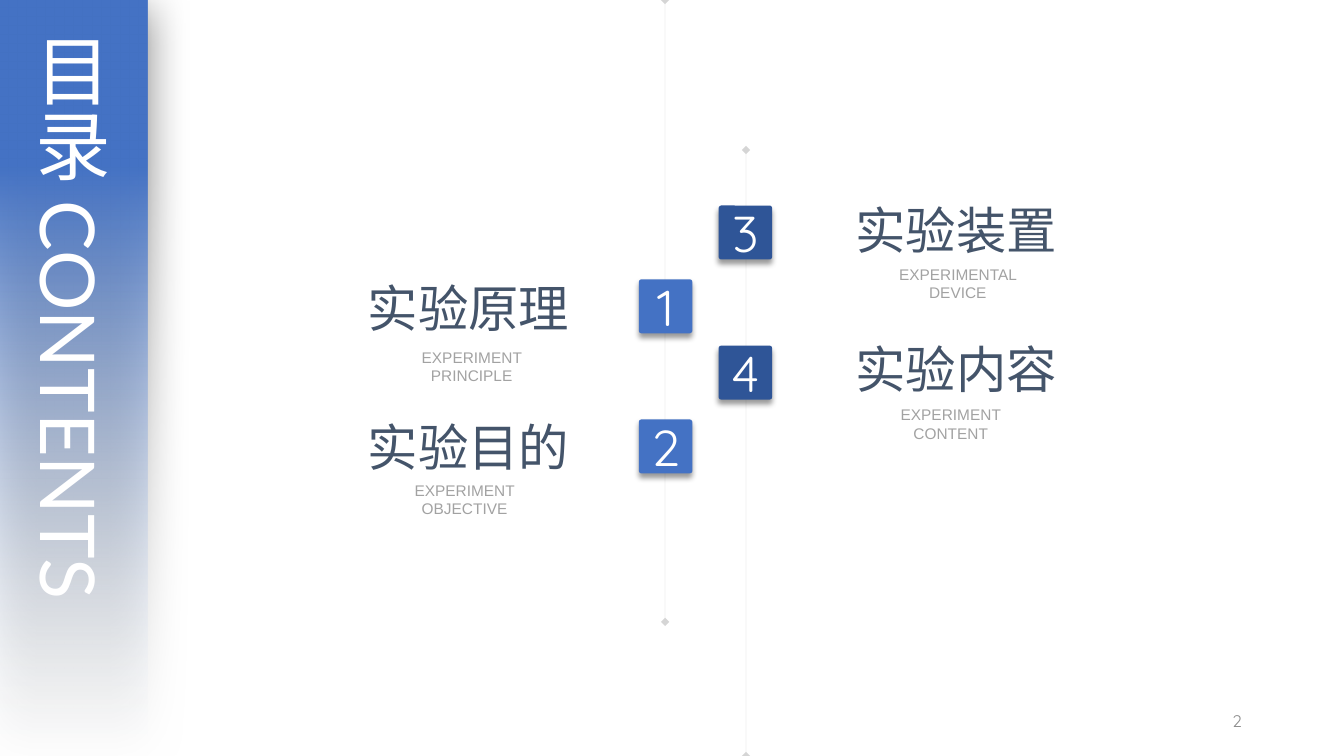
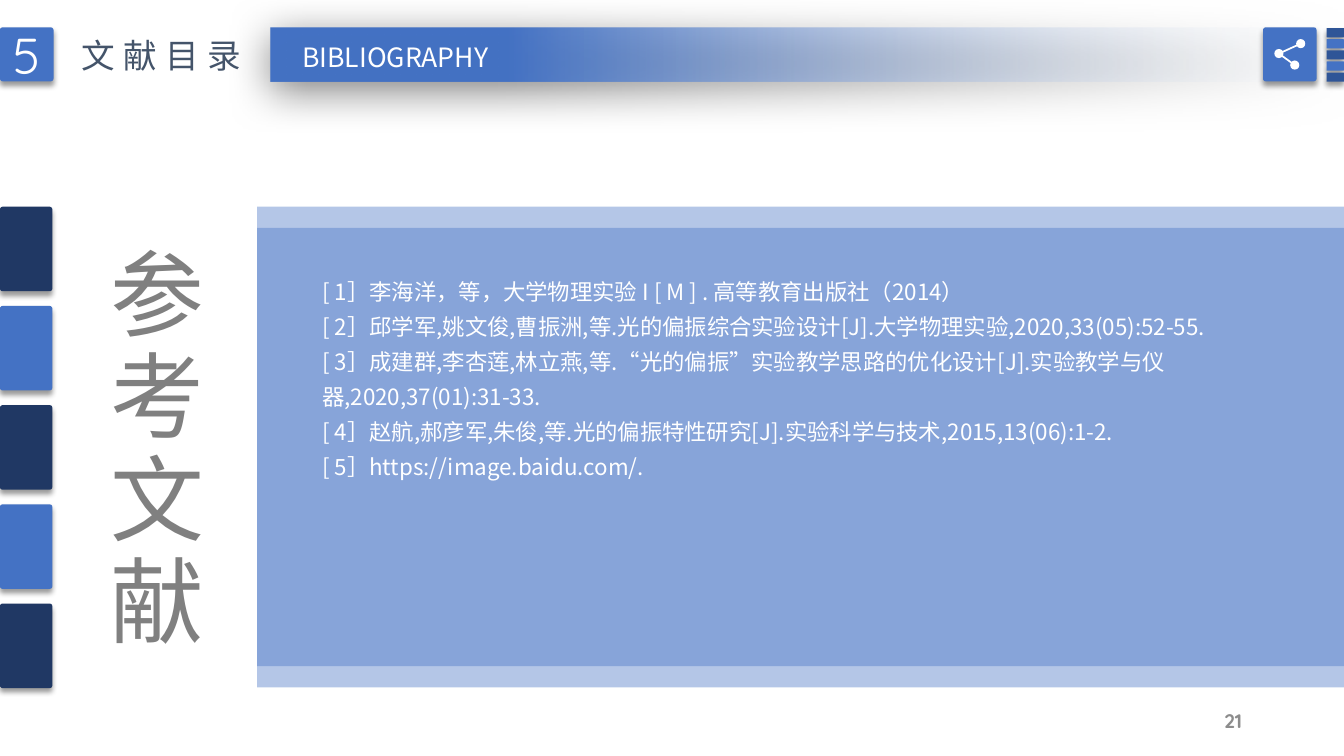
from dataclasses import dataclass

from lxml.etree import SubElement
from pptx import Presentation
from pptx.dml.color import RGBColor
from pptx.enum.shapes import MSO_CONNECTOR as Link, MSO_SHAPE as Preset
from pptx.enum.text import MSO_ANCHOR as Anchor, MSO_AUTO_SIZE as Fit, PP_ALIGN as Align
from pptx.oxml.ns import qn
from pptx.util import Cm, Pt


@dataclass(frozen=True)
class Theme:
    # Colours
    blue: str = "4472C4"
    deep: str = "2F5597"
    navy: str = "203864"
    slate: str = "44546A"
    grey: str = "808080"
    caption: str = "A2A2A2"
    footer: str = "8C8C8C"
    white: str = "FFFFFF"
    fade: str = "F7FAFD"
    # Fonts
    cjk: str = "Noto Sans CJK SC"
    plain: str = "Arial"
    number: str = "Quicksand"
    latin_title: str = "Lato"
    # Type sizes
    giant: int = 67
    cover: int = 54
    heading: int = 36
    header: int = 24
    subhead: int = 19
    body: int = 16
    small: int = 11


T = Theme()
SLIDE_W, SLIDE_H = 33.87, 19.05
BADGE_W, BADGE_H, HEADER_TOP = 1.35, 1.36, 0.69
TITLE_ONLY = 5


def rgb(code):
    return RGBColor.from_string(code)


def set_alpha(shape, percent):
    """Make the first colour of a shape or connector transparent."""
    colour = next(shape.element.spPr.iter(qn("a:srgbClr")))
    SubElement(colour, qn("a:alpha")).set("val", str(percent * 1000))


def add_shadow(shape, alpha, blur, distance, angle):
    effects = shape.element.spPr.find(qn("a:effectLst"))
    outer = SubElement(effects, qn("a:outerShdw"), blurRad=str(Pt(blur)),
                       dist=str(Pt(distance)), dir=str(angle * 60000),
                       algn="t", rotWithShape="0")
    black = SubElement(outer, qn("a:srgbClr"), val="000000")
    SubElement(black, qn("a:alpha"), val=str(alpha * 1000))


# Text
def write(shape, text, size, color, font=T.cjk, bold=False, align=Align.LEFT,
          anchor=Anchor.TOP, vertical=False, tracking=0, leading=None,
          wrap=True, grow=True):
    frame = shape.text_frame
    frame.text = text
    frame.word_wrap = wrap
    frame.auto_size = Fit.SHAPE_TO_FIT_TEXT if grow else Fit.NONE
    frame.vertical_anchor = anchor
    frame.margin_left = frame.margin_right = Cm(0.25)
    frame.margin_top = frame.margin_bottom = Cm(0.13)
    if vertical:
        frame._txBody.bodyPr.set("vert", "eaVert")
    for paragraph in frame.paragraphs:
        paragraph.alignment = align
        paragraph.space_before = Pt(0)
        if leading:
            paragraph.line_spacing = leading
        for run in paragraph.runs:
            run.font.size, run.font.bold = Pt(size), bold
            run.font.color.rgb = rgb(color)
            run.font.name = font
            props = run._r.get_or_add_rPr()
            SubElement(props, qn("a:ea"), typeface=T.cjk)
            if tracking:
                props.set("spc", str(tracking * 100))


def add_text(slide, box, text, size, color, **fmt):
    label = slide.shapes.add_textbox(*map(Cm, box))
    write(label, text, size, color, **fmt)


def place_title(slide, box, text, size, color, **fmt):
    """Move the title placeholder in front of what is drawn so far."""
    title = slide.shapes.title
    title.left, title.top, title.width, title.height = map(Cm, box)
    slide.shapes._spTree.append(title.element)
    write(title, text, size, color, **fmt)


def add_page_number(slide, number, size, bold=False):
    add_text(slide, (23.93, 17.65, 7.62, 1.02), number, size, T.footer, font=T.number,
             bold=bold, align=Align.RIGHT, anchor=Anchor.MIDDLE, grow=False)


# Shapes
def add_block(slide, box, color, preset=Preset.RECTANGLE):
    block = slide.shapes.add_shape(preset, *map(Cm, box))
    block.shadow.inherit = False
    block.fill.solid()
    block.fill.fore_color.rgb = rgb(color)
    block.line.fill.background()
    return block


def add_tile(slide, box, color):
    """Slightly rounded block with a short drop shadow."""
    tile = add_block(slide, box, color, Preset.ROUNDED_RECTANGLE)
    tile.adjustments[0] = 0.05
    add_shadow(tile, 40, 4, 3, 90)
    return tile


def add_badge(slide, left, top, color, number=""):
    badge = add_tile(slide, (left, top, BADGE_W, BADGE_H), color)
    if number:
        write(badge, number, T.heading, T.white, font=T.number, align=Align.CENTER,
              anchor=Anchor.MIDDLE, grow=False)


def add_fading_band(slide, box, angle):
    band = add_block(slide, box, T.blue)
    band.fill.gradient()
    band.fill.gradient_angle = angle
    for stop, color, position in zip(band.fill.gradient_stops,
                                     (T.fade, T.blue), (0, 0.78)):
        stop.color.rgb, stop.position = rgb(color), position
    set_alpha(band, 0)
    add_shadow(band, 50, 31, 6, 97)


def add_line(slide, start, end, color, width):
    line = slide.shapes.add_connector(Link.STRAIGHT, *map(Cm, (*start, *end)))
    line.line.color.rgb = rgb(color)
    line.line.width = Pt(width)
    SubElement(line.element.spPr, qn("a:effectLst"))
    return line


def add_timeline(slide, x, top, bottom):
    timeline = add_line(slide, (x, top), (x, bottom), T.grey, 0.25)
    set_alpha(timeline, 33)
    for end in ("a:headEnd", "a:tailEnd"):
        SubElement(timeline.line._ln, qn(end), type="diamond")


def add_share_icon(slide):
    dot = 0.23
    hub, *tips = (32.23, 1.35), (32.78, 1.1), (32.63, 1.64)
    for tip in tips:
        add_line(slide, hub, tip, T.white, 1.25)
    for x, y in (hub, *tips):
        add_block(slide, (x - dot / 2, y - dot / 2, dot, dot), T.white, Preset.OVAL)


# Slides
def build_contents(slide):
    add_timeline(slide, 18.8, 3.78, SLIDE_H)
    add_timeline(slide, 16.76, 0, 15.67)
    add_fading_band(slide, (0, 0, 3.73, 18.95), 90)
    place_title(slide, (0.36, 0.69, 2.82, 17.91), "目录 CONTENTS", T.cover, T.white,
                font=T.latin_title, vertical=True)

    # Each column: badge colour and left, heading left, tops of the first row, entries
    columns = (
        (T.blue, 16.1, 9.02, 7.04, 6.86,
         (("1", "实验原理", "EXPERIMENT PRINCIPLE", 11.89, 8.64),
          ("2", "实验目的", "EXPERIMENT OBJECTIVE", 11.71, 11.99))),
        (T.deep, 18.11, 21.31, 5.18, 4.88,
         (("3", "实验装置", "EXPERIMENTAL DEVICE", 24.14, 6.55),
          ("4", "实验内容", "EXPERIMENT CONTENT", 23.96, 10.08))),
    )
    caption_w = 4.4
    for color, badge_x, heading_x, badge_y, heading_y, entries in columns:
        for row, (number, heading, caption, center, caption_y) in enumerate(entries):
            add_badge(slide, badge_x, badge_y + row * 3.53, color, number)
            add_text(slide, (heading_x, heading_y + row * 3.5, 5.74, 1.8), heading,
                     T.heading, T.slate, font=T.plain, wrap=False)
            add_text(slide, (center - caption_w / 2, caption_y, caption_w, 0.74), caption,
                     T.small, T.caption, font=T.plain, align=Align.CENTER)
    add_page_number(slide, "2", 12)


def build_bibliography(slide):
    # Reference panel: two overlapping translucent layers
    for top in (5.74, 5.21):
        layer = add_block(slide, (6.48, top, SLIDE_W - 6.48, 11.58), T.blue)
        set_alpha(layer, 40)

    # Left edge tiles and vertical heading
    for i in range(5):
        add_tile(slide, (0, 5.21 + i * 2.5, 1.32, 2.13), (T.navy, T.blue)[i % 2])
    add_text(slide, (2.18, 6.1, 3.38, 10.67), "参考文献", T.giant, T.grey,
             vertical=True, tracking=6, wrap=False)

    references = (
        "[ 1］李海洋，等，大学物理实验 I [ M ] . 高等教育出版社（2014）",
        "[ 2］邱学军,姚文俊,曹振洲,等.光的偏振综合实验设计[J].大学物理实验,2020,33(05):52-55.",
        "[ 3］成建群,李杏莲,林立燕,等.“光的偏振”实验教学思路的优化设计[J].实验教学与仪器,2020,37(01):31-33.",
        "[ 4］赵航,郝彦军,朱俊,等.光的偏振特性研究[J].实验科学与技术,2015,13(06):1-2.",
        "[ 5］https://image.baidu.com/.",
    )
    add_text(slide, (7.87, 6.68, 24.77, 5.59), "\n".join(references), T.body, T.white,
             leading=1.3)

    # Header
    add_fading_band(slide, (6.83, 0.71, SLIDE_W - 6.83, 1.35), 180)
    add_badge(slide, 0, HEADER_TOP, T.blue, "5")
    place_title(slide, (1.8, 0.74, 4.78, 1.27), "文献目录", T.header, T.slate,
                tracking=6, wrap=False)
    add_text(slide, (7.24, 0.91, 5.44, 1.07), "BIBLIOGRAPHY", T.subhead, T.white,
             align=Align.CENTER, wrap=False)
    for i in range(5):
        add_tile(slide, (33.43, 0.71 + i * 0.28, 0.44, 0.23), (T.deep, T.blue)[i % 2])
    add_badge(slide, 31.83, HEADER_TOP, T.blue)
    add_share_icon(slide)
    add_page_number(slide, "21", 14, bold=True)


def main():
    deck = Presentation()
    deck.slide_width, deck.slide_height = Cm(SLIDE_W), Cm(SLIDE_H)
    for build in (build_contents, build_bibliography):
        build(deck.slides.add_slide(deck.slide_layouts[TITLE_ONLY]))
    deck.save("out.pptx")


if __name__ == "__main__":
    main()
